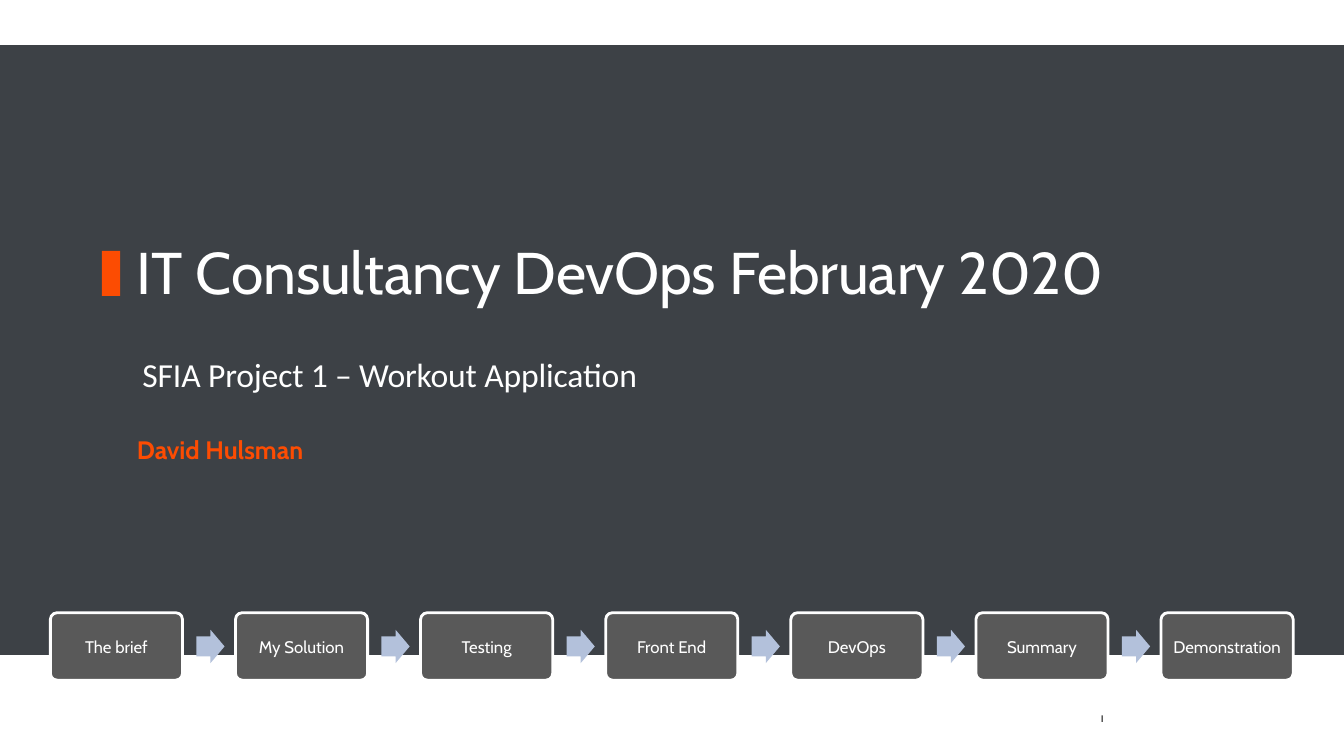
from pptx import Presentation
from pptx.dml.color import RGBColor
from pptx.enum.shapes import MSO_SHAPE as Shape
from pptx.enum.text import MSO_ANCHOR as Anchor, MSO_AUTO_SIZE as AutoSize, PP_ALIGN as Align
from pptx.util import Cm, Pt

SLATE = RGBColor(0x3D, 0x41, 0x46)
ORANGE = RGBColor(0xFC, 0x4C, 0x02)
GREY = RGBColor(0x59, 0x59, 0x59)
PALE_BLUE = RGBColor(0xB3, 0xC1, 0xDB)
WHITE = RGBColor(0xFF, 0xFF, 0xFF)
BLACK = RGBColor(0x00, 0x00, 0x00)

SLIDE_WIDTH, SLIDE_HEIGHT = 33.87, 19.05
STEPS = ["The brief", "My Solution", "Testing", "Front End", "DevOps", "Summary", "Demonstration"]
STEP_LEFT, LAST_STEP_LEFT, STEP_TOP = 1.27, 29.26, 15.44
STEP_WIDTH, STEP_HEIGHT = 3.33, 1.7
ARROW_WIDTH, ARROW_HEIGHT, ARROW_GAP = 0.71, 0.84, 0.35


def write(para, text, size, font="Cabin", color=WHITE, bold=False, align=Align.LEFT,
          before=0, indent=0, spacing=0):
    """Add a formatted run; spacing is in hundredths of a point."""
    para.alignment = align
    if before:
        para.space_before = Pt(before)
    if indent:
        para._p.get_or_add_pPr().set("marL", str(Cm(indent)))
    span = para.add_run()
    span.text = text
    span.font.name = font
    span.font.size = Pt(size)
    span.font.bold = bold
    span.font.color.rgb = color
    if spacing:
        span._r.get_or_add_rPr().set("spc", str(spacing))


def set_frame(frame, anchor=Anchor.TOP, wrap=True):
    frame.auto_size = AutoSize.NONE
    frame.word_wrap = wrap
    frame.vertical_anchor = anchor
    frame.margin_left = frame.margin_right = frame.margin_top = frame.margin_bottom = 0
    return frame


class SlideBuilder:
    """Holds the current slide and draws its elements in the deck's style."""

    def __init__(self, page):
        self.page = page

    def shape(self, kind, left, top, width, height, fill, line=None, adjust=()):
        shape = self.page.shapes.add_shape(kind, Cm(left), Cm(top), Cm(width), Cm(height))
        shape.shadow.inherit = False
        shape.fill.solid()
        shape.fill.fore_color.rgb = fill
        if line is None:
            shape.line.fill.background()
        else:
            shape.line.color.rgb = line
            shape.line.width = Pt(2)
        for index, value in enumerate(adjust):
            shape.adjustments[index] = value
        return shape

    def band(self, left, top, width, height, fill):
        self.shape(Shape.RECTANGLE, left, top, width, height, fill)

    def title(self, text, left, top, width, height):
        title = self.page.shapes.title
        title.left, title.top, title.width, title.height = Cm(left), Cm(top), Cm(width), Cm(height)
        write(set_frame(title.text_frame).paragraphs[0], text, 42, spacing=-10)
        # Bring the title in front of the background bands
        title.element.getparent().append(title.element)

    def subtitle(self, project, author, left, top, width, height):
        box = self.page.shapes.add_textbox(Cm(left), Cm(top), Cm(width), Cm(height))
        frame = set_frame(box.text_frame)
        write(frame.paragraphs[0], project, 24, font="Calibri", indent=0.14, spacing=-10)
        write(frame.add_paragraph(), author, 18, color=ORANGE, bold=True, before=28.5)

    def step(self, text, left):
        box = self.shape(Shape.ROUNDED_RECTANGLE, left, STEP_TOP, STEP_WIDTH, STEP_HEIGHT,
                         GREY, WHITE, [0.1])
        frame = set_frame(box.text_frame, Anchor.MIDDLE, wrap=False)
        write(frame.paragraphs[0], text, 12, align=Align.CENTER)

    def arrow(self, left):
        top = STEP_TOP + (STEP_HEIGHT - ARROW_HEIGHT) / 2
        self.shape(Shape.RIGHT_ARROW, left, top, ARROW_WIDTH, ARROW_HEIGHT, PALE_BLUE,
                   adjust=[0.6, 0.5])


def main():
    deck = Presentation()
    deck.slide_width, deck.slide_height = Cm(SLIDE_WIDTH), Cm(SLIDE_HEIGHT)
    builder = SlideBuilder(deck.slides.add_slide(deck.slide_layouts[5]))

    builder.band(0, 1.14, SLIDE_WIDTH, 16.51, SLATE)
    builder.band(2.57, 6.32, 0.46, 1.14, ORANGE)
    builder.band(0, 16.51, SLIDE_WIDTH, 2.54, WHITE)
    builder.band(27.76, 18.03, 0.03, 0.16, BLACK)

    builder.title("IT Consultancy DevOps February 2020", 3.45, 5.95, 26.21, 1.83)
    builder.subtitle("SFIA Project 1 – Workout Application", "David Hulsman", 3.45, 8.92, 19.66, 2.82)

    pitch = (LAST_STEP_LEFT - STEP_LEFT) / (len(STEPS) - 1)
    for index, text in enumerate(STEPS):
        left = STEP_LEFT + index * pitch
        builder.step(text, left)
        if index < len(STEPS) - 1:
            builder.arrow(left + STEP_WIDTH + ARROW_GAP)

    deck.save("out.pptx")


if __name__ == "__main__":
    main()
